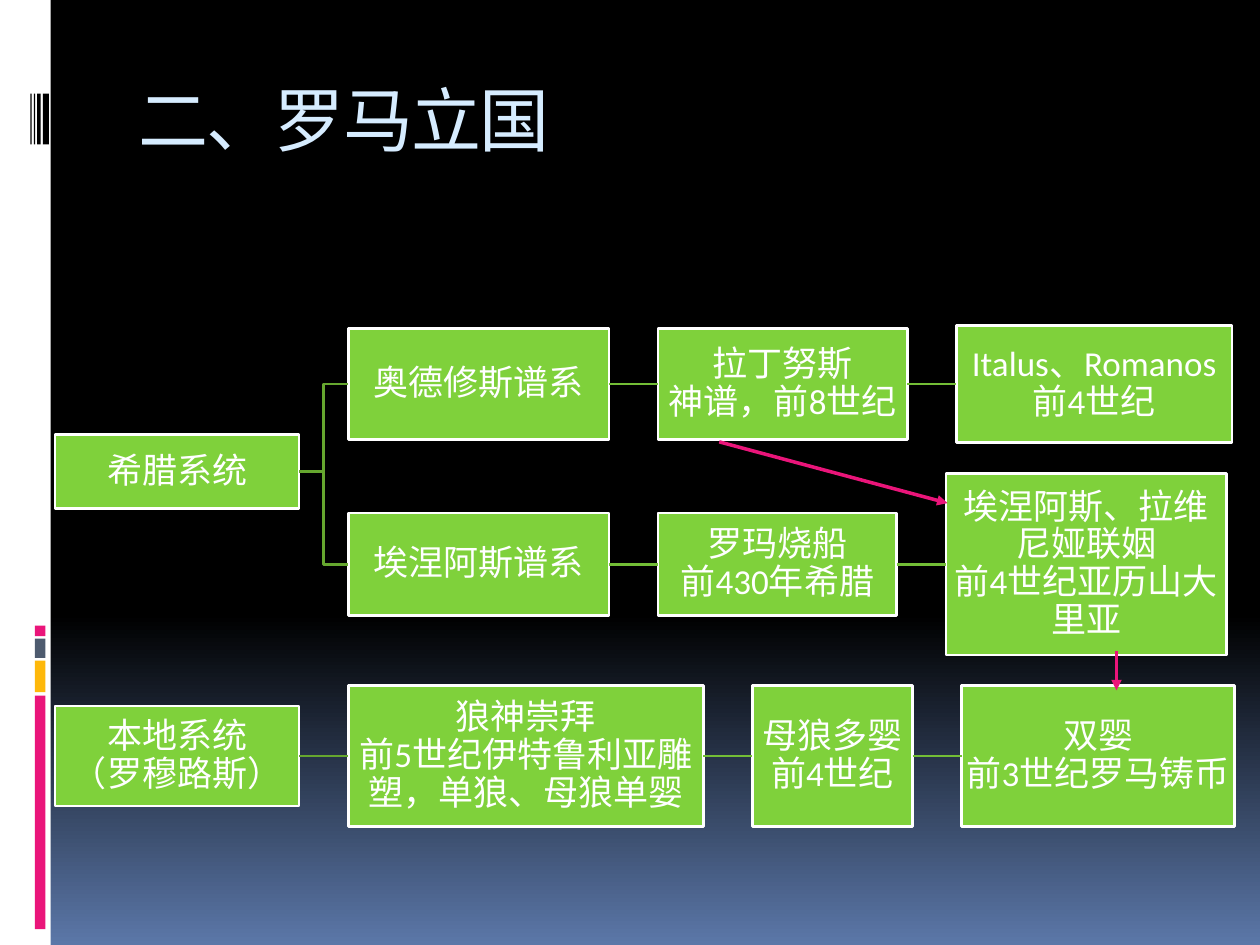
import copy
import itertools

import pptx
import pptx.dml.color
import pptx.enum.dml
import pptx.enum.shapes
import pptx.enum.text
import pptx.oxml
import pptx.oxml.ns
import pptx.util

Pt = pptx.util.Pt
RGBColor = pptx.dml.color.RGBColor
Connector = pptx.enum.shapes.MSO_CONNECTOR
Align = pptx.enum.text.PP_ALIGN
Anchor = pptx.enum.text.MSO_ANCHOR

BLACK = RGBColor(0x00, 0x00, 0x00)
WHITE = RGBColor(0xFF, 0xFF, 0xFF)
SKY = RGBColor(0x5B, 0x77, 0xA8)
TITLE_BLUE = RGBColor(0xD6, 0xEC, 0xFF)
PINK = RGBColor(0xEA, 0x15, 0x7A)
AMBER = RGBColor(0xFE, 0xB8, 0x0A)
SLATE = RGBColor(0x4E, 0x5B, 0x6F)
NODE_GREEN = RGBColor(0x7F, 0xD1, 0x3B)
FIRST_LINK = RGBColor(0x66, 0xA7, 0x2F)
LATER_LINK = RGBColor(0x73, 0xBE, 0x36)

NODE_GAP = 28
ROOT_WIDTH = 139.5
TOP, LEFT, BOTTOM, RIGHT = range(4)

TITLE_FRAME = {"vertical_anchor": Anchor.TOP, "word_wrap": True,
               "auto_size": pptx.enum.text.MSO_AUTO_SIZE.NONE}
TITLE_FONT = {"name": "Noto Sans Mono", "size": Pt(40)}
NODE_FRAME = {"vertical_anchor": Anchor.MIDDLE, "word_wrap": True,
              "margin_left": Pt(1), "margin_right": Pt(1),
              "margin_top": Pt(1), "margin_bottom": Pt(1)}
NODE_PARAGRAPH = {"alignment": Align.CENTER, "line_spacing": 0.9}
NODE_FONT = {"name": "Calibri", "size": Pt(20)}

# Each node: width, height, text
ODYSSEUS_LINE = [
    (149, 63.5, "奥德修斯谱系"),
    (142.5, 63.5, "拉丁努斯\v神谱，前8世纪"),
    (157.5, 67, "Italus、Romanos\v前4世纪"),
]
AENEAS_LINE = [
    (149, 58.5, "埃涅阿斯谱系"),
    (136.5, 58.5, "罗玛烧船\v前430年希腊"),
    (160.5, 103.5, "埃涅阿斯、拉维尼娅联姻\v前4世纪亚历山大里亚"),
]
LOCAL_LINE = [
    (203, 80.5, "狼神崇拜\v前5世纪伊特鲁利亚雕塑，单狼、母狼单婴"),
    (91.5, 80.5, "母狼多婴\v前4世纪"),
    (156, 80.5, "双婴\v前3世纪罗马铸币"),
]


def apply_format(target, values):
    for name, value in values.items():
        setattr(target, name, value)


def add_rectangle(slide, left, top, width, height, color):
    shape = slide.shapes.add_shape(pptx.enum.shapes.MSO_SHAPE.RECTANGLE,
                                   Pt(left), Pt(top), Pt(width), Pt(height))
    shape.shadow.inherit = False
    shape.fill.solid()
    shape.fill.fore_color.rgb = color
    shape.line.fill.background()
    return shape


def add_line(slide, kind, color, width, start=(0, 0), end=(0, 0)):
    line = slide.shapes.add_connector(kind, *map(Pt, start + end))
    line.line.color.rgb = color
    line.line.width = Pt(width)
    properties = line._element.spPr
    properties.append(pptx.oxml.parse_xml(
        "<a:effectLst %s/>" % pptx.oxml.ns.nsdecls("a")))
    return line


def add_arrow(slide, start, end):
    arrow = add_line(slide, Connector.STRAIGHT, PINK, 2, start, end)
    arrow.line._get_or_add_ln().append(pptx.oxml.parse_xml(
        '<a:tailEnd %s type="triangle"/>' % pptx.oxml.ns.nsdecls("a")))


def link(slide, source, target, color, kind=Connector.STRAIGHT):
    line = add_line(slide, kind, color, 1.5)
    line.begin_connect(source, RIGHT)
    line.end_connect(target, LEFT)


def add_node(slide, left, middle, width, height, text):
    node = add_rectangle(slide, left, middle - height / 2, width, height, NODE_GREEN)
    node.line.color.rgb = WHITE
    node.line.width = Pt(1.5)
    apply_format(node.text_frame, NODE_FRAME)
    paragraph = node.text_frame.paragraphs[0]
    paragraph.text = text
    apply_format(paragraph, NODE_PARAGRAPH)
    for run in paragraph.runs:
        apply_format(run.font, NODE_FONT)
        run.font.color.rgb = WHITE
    return node


def add_chain(slide, left, middle, nodes):
    """Place linked nodes from left to right on one axis; return the first."""
    shapes = []
    for width, height, text in nodes:
        shapes.append(add_node(slide, left, middle, width, height, text))
        left += width + NODE_GAP
    for source, target in itertools.pairwise(shapes):
        link(slide, source, target, LATER_LINK)
    return shapes[0]


def add_tree(slide, left, middle, root_height, root_text, branches):
    """Place a root and its branches, given as (middle, nodes)."""
    root = add_node(slide, left, middle, ROOT_WIDTH, root_height, root_text)
    for branch_middle, nodes in branches:
        first = add_chain(slide, left + ROOT_WIDTH + NODE_GAP, branch_middle, nodes)
        kind = Connector.STRAIGHT if branch_middle == middle else Connector.ELBOW
        link(slide, root, first, FIRST_LINK, kind)


def add_background(slide):
    fill = slide.background.fill
    fill.gradient()
    fill.gradient_angle = 270
    first, last = fill.gradient_stops
    first.color.rgb, first.position = BLACK, 0
    last.color.rgb, last.position = SKY, 1
    middle = copy.deepcopy(first._gs)
    middle.set("pos", "65000")
    first._gs.addnext(middle)


def add_side_strip(slide, left, top, width, height):
    add_rectangle(slide, left, top, width, height, WHITE)
    for offset, bar_height, color in [(397.5, 133.5, PINK), (377.5, 18, AMBER),
                                      (365, 11, SLATE), (357.5, 6, PINK)]:
        add_rectangle(slide, left + 20, top + offset, 6, bar_height, color)
    for offset, bar_width in [(24.5, 3.5), (21.2, 2), (19.4, 0.7), (17.4, 0.7)]:
        add_rectangle(slide, left + offset, top + 53.5, bar_width, 29, BLACK)


def add_title(slide, left, top, width, height):
    title = slide.shapes.title
    apply_format(title, {"left": Pt(left), "top": Pt(top),
                         "width": Pt(width), "height": Pt(height)})
    apply_format(title.text_frame, TITLE_FRAME)
    paragraph = title.text_frame.paragraphs[0]
    paragraph.alignment = Align.LEFT
    run = paragraph.add_run()
    run.text = "二、罗马立国"
    apply_format(run.font, TITLE_FONT)
    run.font.color.rgb = TITLE_BLUE
    run._r.get_or_add_rPr().set("spc", "-100")


def main():
    presentation = pptx.Presentation()
    presentation.slide_width, presentation.slide_height = Pt(720), Pt(540)
    slide = presentation.slides.add_slide(presentation.slide_layouts[5])
    add_background(slide)
    add_side_strip(slide, 0, 0, 29, 540)
    add_title(slide, 72, 40, 612, 72)
    add_tree(slide, 31.5, 269.5, 42.5, "希腊系统",
             [(219.5, ODYSSEUS_LINE), (322.5, AENEAS_LINE)])
    add_tree(slide, 31.5, 432, 57, "本地系统\v（罗穆路斯）", [(432, LOCAL_LINE)])
    add_arrow(slide, (411, 252.5), (541.5, 287.5))
    add_arrow(slide, (638, 372), (638, 394.5))
    presentation.save("out.pptx")


if __name__ == "__main__":
    main()
